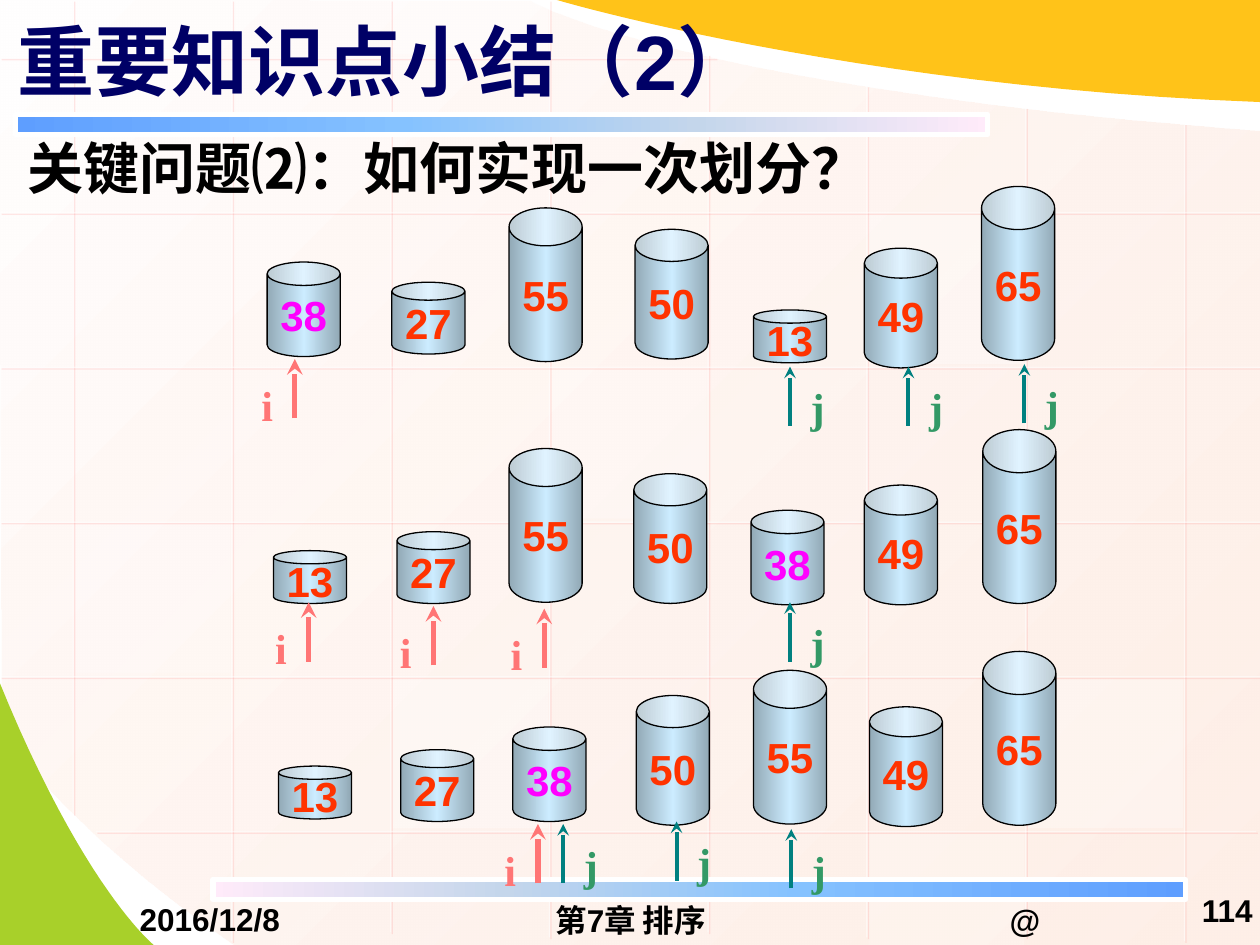
from typing import NamedTuple

from pptx import Presentation
from pptx.dml.color import RGBColor
from pptx.enum.shapes import MSO_CONNECTOR, MSO_SHAPE
from pptx.enum.text import MSO_ANCHOR, MSO_AUTO_SIZE, PP_ALIGN
from pptx.oxml import parse_xml
from pptx.oxml.ns import nsdecls, qn
from pptx.util import Inches, Pt

WHITE = RGBColor(0xFF, 0xFF, 0xFF)
BLACK = RGBColor(0, 0, 0)
NAVY = RGBColor(0, 0, 0x66)
GREEN = RGBColor(0xA8, 0xD0, 0x2A)
GOLD = RGBColor(0xFF, 0xC3, 0x19)
ROSE = RGBColor(0xFF, 0x75, 0x75)
TEAL = RGBColor(0, 0x80, 0x80)
LEAF = RGBColor(0x33, 0x99, 0x66)
RED = RGBColor(0xFF, 0x33, 0)
PINK = RGBColor(0xFF, 0, 0xFF)
CREAM = [(0, RGBColor(0xFF, 0xFE, 0xFE), 100), (100, RGBColor(0xFE, 0xE9, 0xDE), 70)]
STEEL, ICE = RGBColor(0x92, 0xA9, 0xB6), RGBColor(0xCC, 0xEC, 0xFF)
METAL = [(0, STEEL, 100), (50, ICE, 100), (100, STEEL, 100)]
SKY = [(0, RGBColor(0x5E, 0x9E, 0xFF), 100), (40, RGBColor(0x85, 0xC2, 0xFF), 100),
       (70, RGBColor(0xC4, 0xD6, 0xEB), 100), (100, RGBColor(0xFF, 0xEB, 0xFA), 100)]

# The slide is a grid of 100 columns by 75 rows; all lengths count its cells.
deck = Presentation()
deck.slide_width, deck.slide_height = Inches(10), Inches(7.5)
CELL = deck.slide_width / 100
slide = deck.slides.add_slide(deck.slide_layouts[5])
shapes = slide.shapes


class Size(NamedTuple):
    height: float
    lid: float


class Can(NamedTuple):
    value: int
    left: float
    top: float


class Mark(NamedTuple):
    name: str
    x: float
    tip: float


class Kind(NamedTuple):
    line: RGBColor
    text: RGBColor
    width: float
    dx: float
    dy: float


def emu(*cells: float) -> list[int]:
    return [round(n * CELL) for n in cells]


def blend(shape, stops: list, angle: int = 0) -> None:
    """Fill a shape with a linear gradient."""
    marks = "".join(
        f'<a:gs pos="{pos * 1000}"><a:srgbClr val="{color}">'
        f'<a:alpha val="{alpha * 1000}"/></a:srgbClr></a:gs>'
        for pos, color, alpha in stops)
    shape.fill.background()
    props = shape._element.spPr
    props.replace(props.find(qn("a:noFill")), parse_xml(
        f'<a:gradFill {nsdecls("a")} rotWithShape="1"><a:gsLst>{marks}</a:gsLst>'
        f'<a:lin ang="{angle * 60000}" scaled="0"/></a:gradFill>'))


def fade(owner, share: int) -> None:
    """Set the opacity, in percent, of the solid colour under an element."""
    color = next(owner.iter(qn("a:srgbClr")))
    color.append(parse_xml(f'<a:alpha {nsdecls("a")} val="{share * 1000}"/>'))


def block(kind, left: float, top: float, width: float, height: float):
    shape = shapes.add_shape(kind, *emu(left, top, width, height))
    shape.shadow.inherit = False
    shape.line.fill.background()
    return shape


def curve(a: tuple, b: tuple, c: tuple, d: tuple, steps: int = 24) -> list:
    """Points along a cubic curve, without its start."""
    def at(t: float) -> tuple:
        s = 1 - t
        return tuple(s**3 * p + 3 * s * s * t * q + 3 * s * t * t * r + t**3 * e
                     for p, q, r, e in zip(a, b, c, d))
    return [at(n / steps) for n in range(1, steps + 1)]


def patch(points: list):
    dots = [emu(*p) for p in points]
    pen = shapes.build_freeform(*dots[0])
    pen.add_line_segments(dots[1:], close=True)
    shape = pen.convert_to_shape()
    shape.shadow.inherit = False
    shape.line.fill.background()
    return shape


def stroke(x1: float, y1: float, x2: float, y2: float, color: RGBColor,
           width: float, effect: str = ""):
    line = shapes.add_connector(MSO_CONNECTOR.STRAIGHT, *emu(x1, y1, x2, y2))
    line.line.color.rgb, line.line.width = color, Pt(width)
    line._element.spPr.append(
        parse_xml(f'<a:effectLst {nsdecls("a")}>{effect}</a:effectLst>'))
    return line


def rule(x1: float, y1: float, x2: float, y2: float) -> None:
    """Half-clear white grid line with a rose shadow."""
    line = stroke(x1, y1, x2, y2, WHITE, 0.75,
                  f'<a:outerShdw blurRad="0" dist="{Pt(1.4)}" dir="2700000">'
                  f'<a:srgbClr val="{ROSE}"><a:alpha val="33000"/></a:srgbClr></a:outerShdw>')
    fade(line.line._get_or_add_ln(), 50)


def write(frame, text: str, size: int, color: RGBColor, align=PP_ALIGN.LEFT,
          face: str = "Arial") -> None:
    frame.text = text
    para = frame.paragraphs[0]
    para.alignment = align
    font = para.font
    font.size, font.name, font.bold = Pt(size), face, True
    font.color.rgb = color


def label(left: float, top: float, width: float, height: float, text: str, size: int,
          color: RGBColor, **style):
    frame = shapes.add_textbox(*emu(left, top, width, height)).text_frame
    frame.word_wrap = True
    write(frame, text, size, color, **style)
    return frame


SIZES = {13: Size(4.2, 0.25), 27: Size(5.7, 0.25), 38: Size(7.5, 0.32), 49: Size(9.5, 0.41),
         50: Size(10.3, 0.44), 55: Size(12.2, 0.52), 65: Size(13.8, 0.59)}
KINDS = {"i": Kind(ROSE, ROSE, 3, -3.65, 1.1), "j": Kind(TEAL, LEAF, 2.25, 0.65, 0.7)}


def draw_can(can: Can) -> None:
    size = SIZES[can.value]
    shape = block(MSO_SHAPE.CAN, can.left, can.top, 5.8, size.height)
    shape.adjustments[0] = size.lid
    blend(shape, METAL)
    shape.line.color.rgb, shape.line.width = BLACK, Pt(0.75)
    frame = shape.text_frame
    frame.word_wrap, frame.vertical_anchor = False, MSO_ANCHOR.MIDDLE
    write(frame, str(can.value), 24, PINK if can.value == 38 else RED, PP_ALIGN.CENTER)


def draw_mark(mark: Mark) -> None:
    kind = KINDS[mark.name]
    line = stroke(mark.x, mark.tip + 4.7, mark.x, mark.tip, kind.line, kind.width)
    line.line._get_or_add_ln().append(
        parse_xml(f'<a:tailEnd {nsdecls("a")} type="stealth"/>'))
    label(mark.x + kind.dx, mark.tip + kind.dy, 2.5, 5, mark.name, 24, kind.text,
          face="Times New Roman")


# Backdrop
paper = patch([(100.1, 10.4), (100.1, 74.9), (18.7, 75),
               *curve((18.7, 75), (5.5, 66), (0.1, 58), (0.2, 58)), (-0.1, -0.1), (42.1, 0.1),
               *curve((42.1, 0.1), (42.1, 0.1), (53.7, 6.9), (100.1, 10.4))])
blend(paper, CREAM, 45)
hill = patch([(-0.1, 54), (-0.1, 75), (12.2, 75),
              *curve((12.2, 75), (12.2, 75), (6.6, 70.5), (-0.1, 54))])
hill.fill.solid()
hill.fill.fore_color.rgb = GREEN

# Grid lines and tinted tiles
X0, Y0, DX, DY = 5.8, 4.6, 12.6, 12.28
ENDS = [(0, 64.6), (0, 74.7), (0, 74), (0, 74.4), (4.3, 74), (6.8, 74.4), (8.5, 74.4), (9.8, 74.7)]
for n, (top, end) in enumerate(ENDS):
    rule(X0 + n * DX, top, X0 + n * DX, end)
for n, (left, end) in enumerate([(0, 56.8), *[(0, 100.1)] * 4, (7.6, 99.7)]):
    rule(end, Y0 + n * DY, left, Y0 + n * DY)
for col, row, share in [(3, 2, 25), (6, 4, 30), (0, 3, 20), (5, 5, 20),
                        (2, -1, 40), (2, 4, 30), (5, 1, 30)]:
    start = Y0 + row * DY + 0.2
    top, end = max(start, 0), min(start + 11.8, 75)
    tile = block(MSO_SHAPE.RECTANGLE, X0 + col * DX + 0.2, top, 12.3, end - top)
    tile.fill.solid()
    tile.fill.fore_color.rgb = WHITE
    fade(tile._element.spPr, share)

# Corner sweep and bars
sweep = patch([(100, 8.1), (100, 0), (44.2, 0),
               *curve((44.2, 0), (44.2, 0), (67.4, 6.9), (100, 8.1))])
sweep.fill.solid()
sweep.fill.fore_color.rgb = GOLD
BACK = [(100 - pos, color, alpha) for pos, color, alpha in reversed(SKY)]
for left, top, stops in [(1.2, 9.1, SKY), (16.9, 69.8, BACK)]:
    bar = block(MSO_SHAPE.RECTANGLE, left, top, 77.2, 1.6)
    blend(bar, stops)
    bar.line.color.rgb, bar.line.width = WHITE, Pt(3)

# Title, brought in front of the backdrop
title = shapes.title
shapes._spTree.append(title._element)
title.left, title.top, title.width, title.height = emu(0.4, -0.3, 90, 10.1)
title.text_frame.auto_size = MSO_AUTO_SIZE.NONE
title.text_frame.vertical_anchor = MSO_ANCHOR.MIDDLE
write(title.text_frame, "重要知识点小结（2）", 44, NAVY)

# Footer
for left, top, width, text in [(69.7, 71.5, 23.3, "@"), (5, 71.4, 23.3, "2016/12/8"),
                               (34.2, 71.5, 31.7, "第7章 排序")]:
    foot = label(left, top, width, 3, text, 18, BLACK, align=PP_ALIGN.CENTER)
    foot.margin_top = foot.margin_bottom = 0
    foot.vertical_anchor = MSO_ANCHOR.MIDDLE
page = label(93.8, 69.8, 6.6, 4.9, "114", 18, BLACK, align=PP_ALIGN.RIGHT)
page.vertical_anchor = MSO_ANCHOR.MIDDLE

# Three stages of the partition
label(1.2, 10.1, 82.8, 6.3, "关键问题⑵：如何实现一次划分？", 32, BLACK)
CANS = [
    Can(38, 21.2, 20.8), Can(27, 31.1, 22.4), Can(55, 40.4, 16.5), Can(50, 50.4, 18.2),
    Can(13, 59.8, 24.6), Can(49, 68.6, 19.7), Can(65, 77.9, 14.8),
    Can(13, 21.7, 43.7), Can(27, 31.5, 42.2), Can(55, 40.4, 35.6), Can(50, 50.3, 37.6),
    Can(38, 59.6, 40.5), Can(49, 68.6, 38.5), Can(65, 78, 34.1),
    Can(13, 22.1, 60.8), Can(27, 31.8, 59.5), Can(38, 40.7, 57.7), Can(50, 50.5, 55.2),
    Can(55, 59.8, 53.2), Can(49, 69, 56.1), Can(65, 78, 51.7)]
MARKS = [
    Mark("i", 23.4, 28.5), Mark("j", 62.7, 29.1), Mark("j", 72.1, 29.1), Mark("j", 81.3, 28.9),
    Mark("i", 24.5, 47.8), Mark("i", 34.4, 48.1), Mark("i", 43.2, 48.3), Mark("j", 62.7, 47.8),
    Mark("i", 42.7, 65.4), Mark("j", 44.7, 65.4), Mark("j", 53.7, 65.2), Mark("j", 62.8, 65.8)]
for can in CANS:
    draw_can(can)
for mark in MARKS:
    draw_mark(mark)

deck.save("out.pptx")
